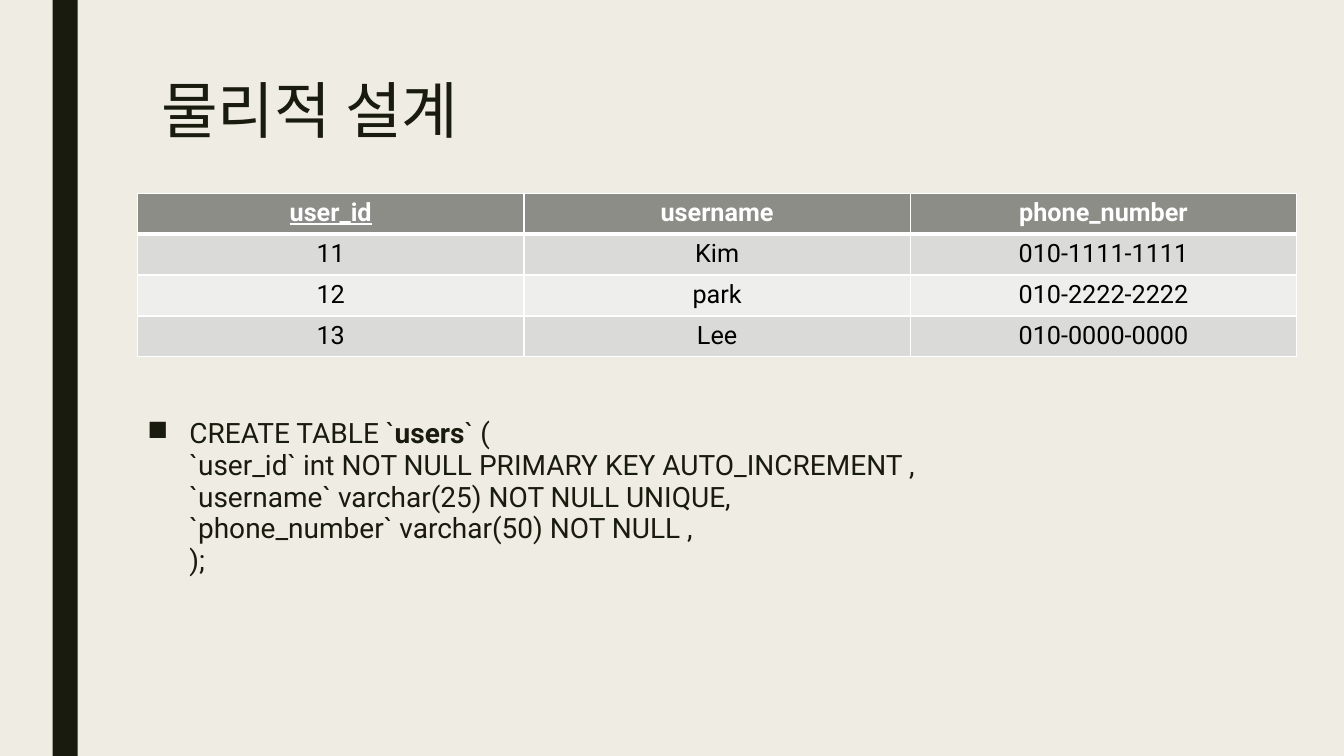
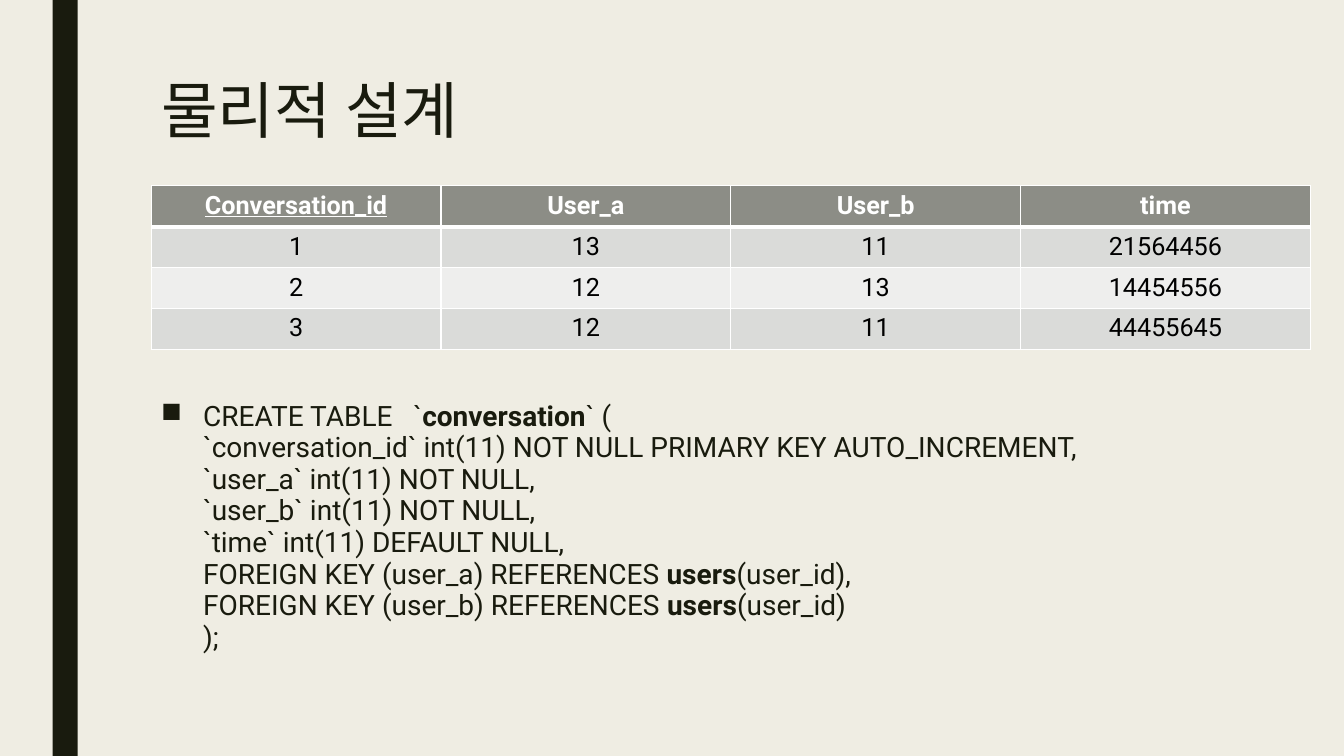
from dataclasses import dataclass

from pptx import Presentation
from pptx.dml.color import RGBColor
from pptx.enum.shapes import MSO_SHAPE as Shape
from pptx.enum.text import MSO_ANCHOR as Anchor, MSO_AUTO_SIZE as AutoSize, PP_ALIGN as Align
from pptx.oxml.ns import qn
from pptx.util import Emu, Pt
from lxml.etree import SubElement

# Shared look
PX = 9525
SLIDE_WIDTH, SLIDE_HEIGHT = 1280, 720
FONT = "Roboto"
PAPER, INK, WHITE, BLACK = "EFEDE3", "191B0E", "FFFFFF", "000000"
HEADER_FILL, ROW_FILLS = "8C8D86", ("DADBD9", "EEEEED")
TABLE_WIDTH, ROW_HEIGHT = 1104, 39
BULLET_INDENT = 40
THIN, THICK = 1, 3

TITLE_FORMAT = {"name": FONT, "size": Pt(44), "bold": False}
CODE_FORMAT = {"name": FONT, "size": Pt(20)}
CELL_FORMAT = {"name": FONT, "size": Pt(18)}


@dataclass(frozen=True)
class Box:
    left: int
    top: int
    width: int
    height: int

    def emu(self) -> tuple:
        return tuple(px(n) for n in (self.left, self.top, self.width, self.height))


@dataclass(frozen=True)
class TableDesign:
    """One slide: a sample table and its SQL, with bold parts between ** marks."""
    title: str
    table_left: int
    table_top: int
    rows: tuple
    code_box: Box
    code: str


TITLE_BOX = Box(144, 72, 1008, 156)
BAR_BOX = Box(50, 0, 24, SLIDE_HEIGHT)

DESIGNS = (
    TableDesign(
        "물리적 설계", 131, 184,
        (("user_id", "username", "phone_number"),
         ("11", "Kim", "010-1111-1111"),
         ("12", "park", "010-2222-2222"),
         ("13", "Lee", "010-0000-0000")),
        Box(131, 394, 808, 199),
        """CREATE TABLE `**users**` (
`user_id` int NOT NULL PRIMARY KEY AUTO_INCREMENT ,
`username` varchar(25) NOT NULL UNIQUE,
`phone_number` varchar(50) NOT NULL ,
);"""),
    TableDesign(
        "물리적 설계", 144, 177,
        (("Conversation_id", "User_a", "User_b", "time"),
         ("1", "13", "11", "21564456"),
         ("2", "12", "13", "14454556"),
         ("3", "12", "11", "44455645")),
        Box(144, 377, 984, 256),
        """CREATE TABLE   `**conversation**` (
`conversation_id` int(11) NOT NULL PRIMARY KEY AUTO_INCREMENT,
`user_a` int(11) NOT NULL,
`user_b` int(11) NOT NULL,
`time` int(11) DEFAULT NULL,
FOREIGN KEY (user_a) REFERENCES **users**(user_id),
FOREIGN KEY (user_b) REFERENCES **users**(user_id)
);"""),
)


# Helpers
def px(length: int) -> Emu:
    return Emu(length * PX)


def color(value: str) -> RGBColor:
    return RGBColor.from_string(value)


def set_all(target, values: dict) -> None:
    for name, value in values.items():
        setattr(target, name, value)


def add_span(para, text: str, ink: str, **formats) -> None:
    span = para.add_run()
    span.text = text
    set_all(span.font, formats)
    span.font.color.rgb = color(ink)


def place(shape, box: Box) -> None:
    set_all(shape, dict(zip(("left", "top", "width", "height"), box.emu())))


def set_border(cell, side: str, points: int) -> None:
    line = SubElement(cell._tc.get_or_add_tcPr(), qn(f"a:ln{side}"), w=str(Pt(points)))
    fill = SubElement(line, qn("a:solidFill"))
    SubElement(fill, qn("a:srgbClr"), val=WHITE)


# Slide parts
def add_bar(page) -> None:
    bar = page.shapes.add_shape(Shape.RECTANGLE, *BAR_BOX.emu())
    bar.shadow.inherit = False
    bar.fill.solid()
    bar.fill.fore_color.rgb = color(INK)
    bar.line.fill.background()


def add_title(page, text: str) -> None:
    title = page.shapes.title
    place(title, TITLE_BOX)
    set_all(title.text_frame, {"vertical_anchor": Anchor.TOP, "word_wrap": True,
                               "auto_size": AutoSize.NONE})
    para = title.text_frame.paragraphs[0]
    set_all(para, {"alignment": Align.LEFT, "line_spacing": 0.89})
    add_span(para, text, INK, **TITLE_FORMAT)


def add_table(page, design: TableDesign) -> None:
    rows = design.rows
    box = Box(design.table_left, design.table_top, TABLE_WIDTH, ROW_HEIGHT * len(rows))
    table = page.shapes.add_table(len(rows), len(rows[0]), *box.emu()).table
    for r, row in enumerate(rows):
        header = r == 0
        borders = {"L": THIN, "R": THIN, "T": THICK if r == 1 else THIN,
                   "B": THICK if header else THIN}
        for c, text in enumerate(row):
            cell = table.cell(r, c)
            for side, points in borders.items():
                set_border(cell, side, points)
            cell.fill.solid()
            cell.fill.fore_color.rgb = color(HEADER_FILL if header else ROW_FILLS[(r - 1) % 2])
            para = cell.text_frame.paragraphs[0]
            para.alignment = Align.CENTER
            add_span(para, text, WHITE if header else BLACK, bold=header,
                     underline=header and c == 0, **CELL_FORMAT)


def add_code(page, box: Box, code: str) -> None:
    frame = page.shapes.add_textbox(*box.emu()).text_frame
    frame.word_wrap = True
    para = frame.paragraphs[0]
    properties = para._p.get_or_add_pPr()
    properties.set("marL", str(px(BULLET_INDENT)))
    properties.set("indent", str(px(-BULLET_INDENT)))
    SubElement(properties, qn("a:buChar"), char="■")
    set_all(para, {"line_spacing": 0.94, "space_after": Pt(2)})
    for number, line in enumerate(code.split("\n")):
        if number:
            para.add_line_break()
        for part, text in enumerate(line.split("**")):
            add_span(para, text, INK, bold=part % 2 == 1, **CODE_FORMAT)


def main() -> None:
    deck = Presentation()
    deck.slide_width, deck.slide_height = px(SLIDE_WIDTH), px(SLIDE_HEIGHT)
    background = deck.slide_master.background.fill
    background.solid()
    background.fore_color.rgb = color(PAPER)
    title_only = deck.slide_layouts[5]
    for design in DESIGNS:
        page = deck.slides.add_slide(title_only)
        add_bar(page)
        add_title(page, design.title)
        add_code(page, design.code_box, design.code)
        add_table(page, design)
    deck.save("out.pptx")


if __name__ == "__main__":
    main()
